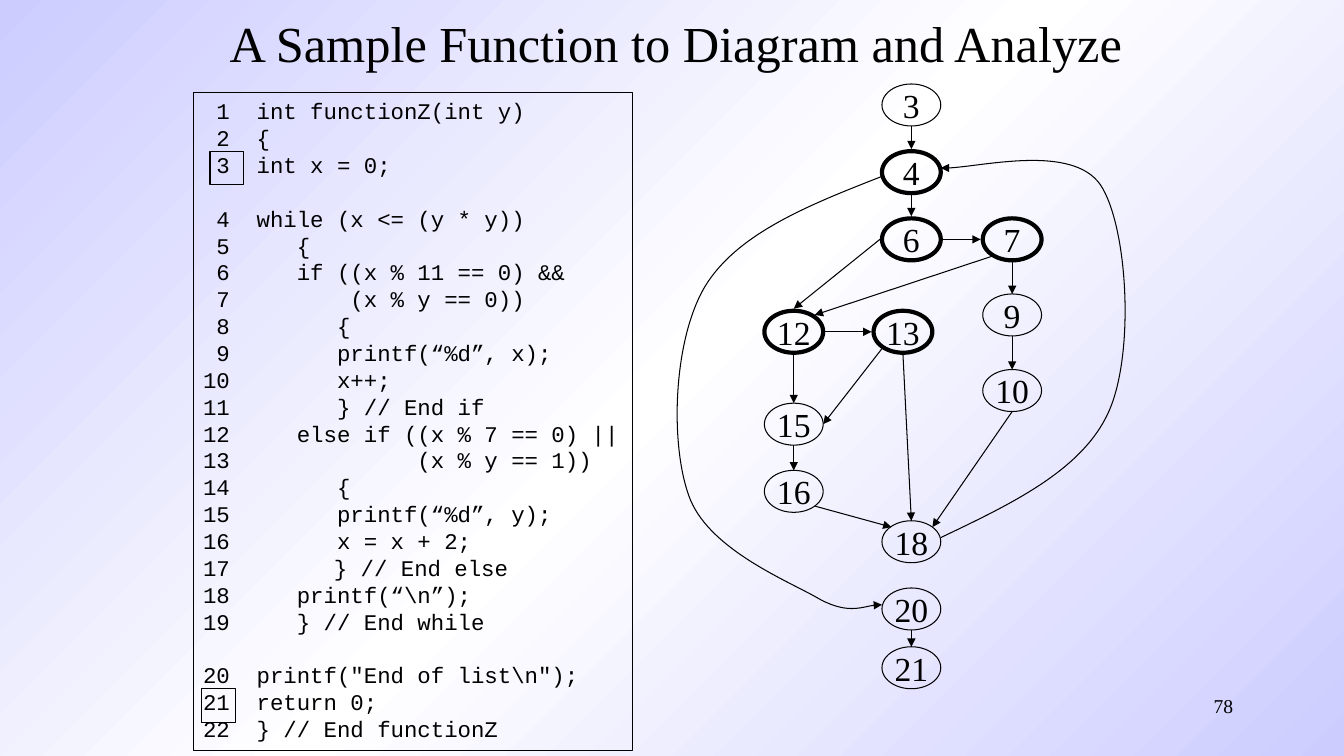
import copy

import pptx
import pptx.dml.color
import pptx.enum.shapes
import pptx.enum.text
import pptx.oxml.ns
import pptx.util
from lxml import etree

PX = 9525  # EMU per px, 96 px to the inch
BLACK = "000000"
SERIF, MONO = "Times New Roman", "Courier New"
SHAPES = pptx.enum.shapes.MSO_SHAPE
ALIGN = pptx.enum.text.PP_ALIGN
ANCHOR = pptx.enum.text.MSO_ANCHOR
qn = pptx.oxml.ns.qn

# Line 17 takes its number from automatic numbering
CODE = r"""
 1  int functionZ(int y)
 2  {
 3  int x = 0;

 4  while (x <= (y * y))
 5     {
 6     if ((x % 11 == 0) &&
 7         (x % y == 0))
 8        {
 9        printf(“%d”, x);
10        x++;
11        } // End if
12     else if ((x % 7 == 0) ||
13              (x % y == 1))
14        {
15        printf(“%d”, y);
16        x = x + 2;
      } // End else
18     printf(“\n”);
19     } // End while

20  printf("End of list\n");
21  return 0;
22  } // End functionZ
"""
NUMBERED_LINE = 17

# Statement number: left, top
NODES = {
    3: (840, 80), 4: (840, 144), 6: (840, 208), 7: (936, 208),
    9: (936, 280), 10: (936, 352), 12: (728, 296), 13: (832, 296),
    15: (728, 384), 16: (728, 448), 18: (840, 496), 20: (840, 560),
    21: (840, 616),
}
DECISIONS = {4, 6, 7, 12, 13}

# Straight arrows: from x, y, to x, y
ARROWS = [
    (868, 120, 868, 142), (868, 186, 868, 206), (898, 228, 934, 228),
    (964, 250, 964, 280), (964, 320, 964, 352), (964, 392, 888, 502),
    (838, 228, 756, 294), (945, 244, 776, 300), (756, 338, 756, 384),
    (786, 316, 830, 316), (840, 332, 784, 404), (860, 338, 868, 496),
    (756, 424, 756, 448), (776, 482, 849, 502), (868, 600, 868, 616),
]

# Bezier chains: a start, then two controls and an end per piece
LOOP_BACK = [(896, 512), (963, 480), (1031, 448), (1056, 392),
             (1081, 336), (1074, 215), (1048, 176),
             (1021, 137), (922, 162), (896, 160)]
LOOP_EXIT = [(840, 168), (771, 195), (703, 222), (672, 272),
             (641, 323), (638, 422), (656, 472),
             (673, 521), (745, 551), (776, 568),
             (806, 586), (829, 575), (840, 576)]


def color(value):
    return pptx.dml.color.RGBColor.from_string(value)


def emu(*lengths):
    return [round(length * PX) for length in lengths]


def write(shape, text, size=24, font=SERIF, align=ALIGN.LEFT,
          anchor=ANCHOR.TOP, wrap=True):
    frame = shape.text_frame
    frame.word_wrap, frame.vertical_anchor = wrap, anchor
    for index, line in enumerate(text.split("\n")):
        para = frame.add_paragraph() if index else frame.paragraphs[0]
        para.alignment = align
        if line:
            span = para.add_run()
            span.text = line
            span.font.size, span.font.name = pptx.util.Pt(size), font
            span.font.color.rgb = color(BLACK)
        else:
            # Gives an empty line of code the height of the others
            end = etree.SubElement(para._p, qn("a:endParaRPr"), sz=str(size * 100))
            etree.SubElement(end, qn("a:latin"), typeface=font)


def outline(shape, width=0.75):
    shape.line.color.rgb = color(BLACK)
    shape.line.width = pptx.util.Pt(width)


def add_outlined(page, kind, left, top, width, height, weight=0.75):
    shape = page.shapes.add_shape(kind, *emu(left, top, width, height))
    shape.shadow.inherit = False
    shape.fill.background()
    outline(shape, weight)
    return shape


def add_listing(page, *box):
    listing = add_outlined(page, SHAPES.RECTANGLE, *box)
    write(listing, CODE.strip("\n"), size=16, font=MONO, wrap=False)
    listing.text_frame.auto_size = pptx.enum.text.MSO_AUTO_SIZE.SHAPE_TO_FIT_TEXT
    hang, = emu(48)
    for para in listing.element.iter(qn("a:p")):
        layout = para.find(qn("a:pPr"))
        layout.set("marL", str(hang))
        layout.set("indent", str(-hang))
        if "".join(para.itertext()).startswith("      }"):
            etree.SubElement(layout, qn("a:buAutoNum"), type="arabicPlain",
                             startAt=str(NUMBERED_LINE))


def add_node(page, number, left, top):
    weight = 3 if number in DECISIONS else 0.75
    node = add_outlined(page, SHAPES.OVAL, left, top, 56, 40, weight)
    write(node, str(number), align=ALIGN.CENTER, anchor=ANCHOR.MIDDLE, wrap=False)


def add_arrowhead(shape):
    line = shape.element.find(".//" + qn("a:ln"))
    etree.SubElement(line, qn("a:tailEnd"), type="triangle")


def add_arrow(page, *ends):
    straight = pptx.enum.shapes.MSO_CONNECTOR.STRAIGHT
    arrow = page.shapes.add_connector(straight, *emu(*ends))
    outline(arrow)
    add_arrowhead(arrow)
    etree.SubElement(arrow.element.find(qn("p:spPr")), qn("a:effectLst"))


def add_curved_arrow(page, chain):
    points = [emu(*point) for point in chain]
    builder = page.shapes.build_freeform(*points[0], scale=1.0)
    builder.add_line_segments(points[1:], close=False)
    curve = builder.convert_to_shape()
    curve.shadow.inherit = False
    curve.fill.background()
    outline(curve)
    add_arrowhead(curve)
    # Join every three straight segments into one cubic curve
    segments = list(curve.element.iter(qn("a:lnTo")))
    for first in range(0, len(segments), 3):
        cubic = etree.Element(qn("a:cubicBezTo"))
        segments[first].addprevious(cubic)
        for segment in segments[first:first + 3]:
            cubic.append(segment[0])
            segment.getparent().remove(segment)


def paint_background(page):
    fill = page.background.fill
    fill.gradient()
    fill.gradient_angle = 315
    last = list(page.element.iter(qn("a:gs")))[-1]
    last.addprevious(copy.deepcopy(last))
    stops = zip(fill.gradient_stops, (0, 0.5, 1), ("CCCCFF", "FFFFFF", "CCCCFF"))
    for stop, position, value in stops:
        stop.position, stop.color.rgb = position, color(value)


def main():
    deck = pptx.Presentation()
    deck.slide_width, deck.slide_height = emu(1280, 720)
    page = deck.slides.add_slide(deck.slide_layouts[5])
    paint_background(page)

    # Title and page number
    title = page.shapes.title
    title.left, title.top, title.width, title.height = emu(184, 0, 920, 80)
    write(title, "A Sample Function to Diagram and Analyze", size=36,
          align=ALIGN.CENTER, anchor=ANCHOR.MIDDLE)
    page_number = page.shapes.add_textbox(*emu(917, 656, 267, 48))
    write(page_number, "78", size=14, align=ALIGN.RIGHT)

    # Code listing, with its first and last statements boxed
    add_listing(page, 184, 88, 418, 627)
    for left, top in ((200, 144), (192, 656)):
        add_outlined(page, SHAPES.RECTANGLE, left, top, 32, 32)

    # Flow graph
    for number, (left, top) in NODES.items():
        add_node(page, number, left, top)
    for ends in ARROWS:
        add_arrow(page, *ends)
    for chain in (LOOP_BACK, LOOP_EXIT):
        add_curved_arrow(page, chain)

    deck.save("out.pptx")


if __name__ == "__main__":
    main()
